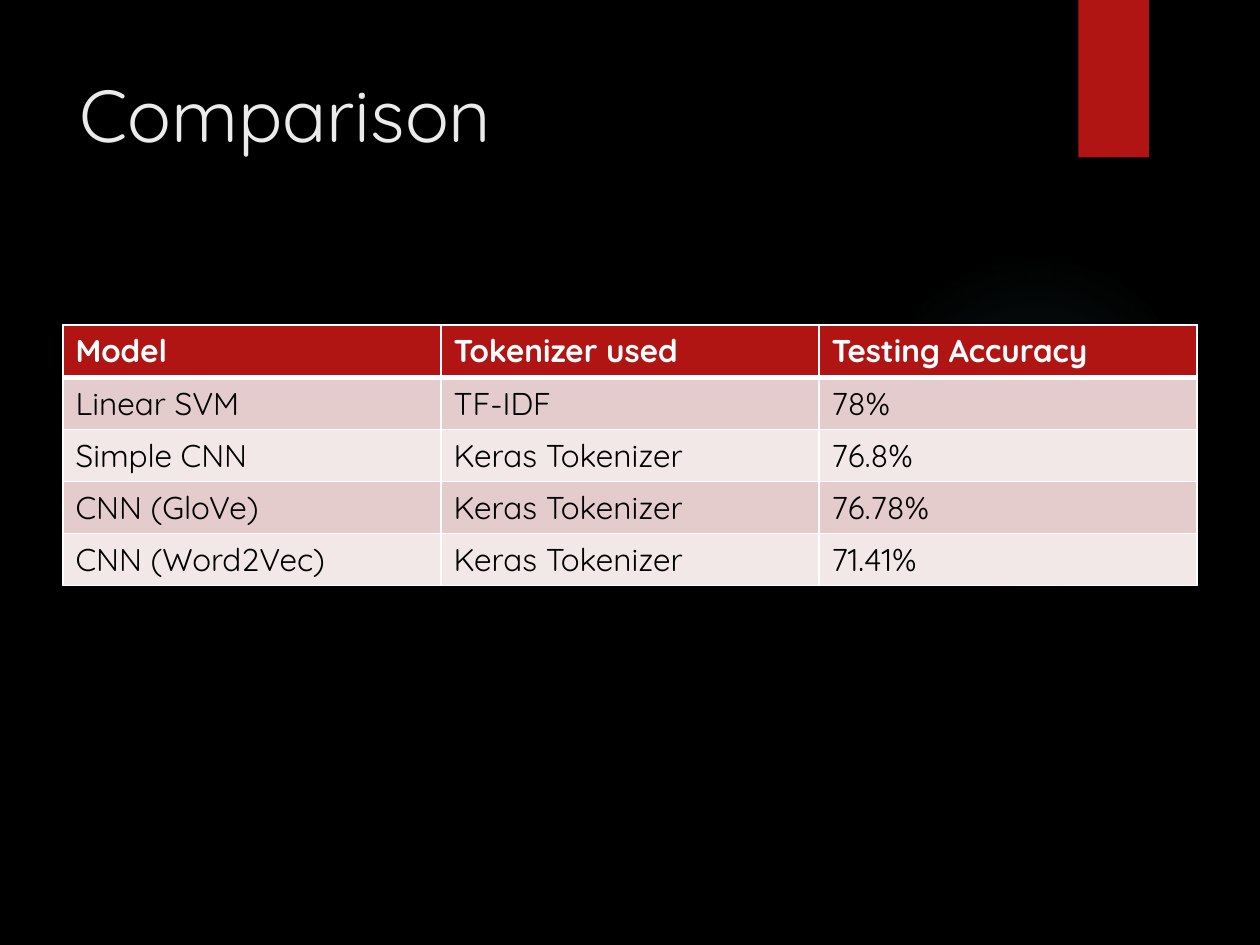
import pptx
import pptx.dml.color
import pptx.enum.shapes
import pptx.enum.text
import pptx.oxml
import pptx.oxml.ns
import pptx.util

WIDE, HIGH = 10, 7.5
FONT = "Quicksand"
RED, WHITE, BLACK = "B01513", "FFFFFF", "000000"
BANDS = "E4CCCC", "F2E8E7"
GLOW = (0, 7), (36, 6), (69, 0)  # position and opacity, in percent
ROW = 0.41
ROWS = (
    ("Model", "Tokenizer used", "Testing Accuracy"),
    ("Linear SVM", "TF-IDF", "78%"),
    ("Simple CNN", "Keras Tokenizer", "76.8%"),
    ("CNN (GloVe)", "Keras Tokenizer", "76.78%"),
    ("CNN (Word2Vec)", "Keras Tokenizer", "71.41%"),
)


def tint(code):
    return pptx.dml.color.RGBColor.from_string(code)


def inches(*sizes):
    return [pptx.util.Inches(size) for size in sizes]


def parse(xml):
    space = pptx.oxml.ns.nsdecls("a")
    return pptx.oxml.parse_xml(xml.replace(">", f" {space}>", 1))


def paint(fill, code):
    fill.solid()
    fill.fore_color.rgb = tint(code)


def write(frame, text, size=18, color=BLACK, bold=False):
    frame.text = text
    font = frame.paragraphs[0].font
    font.name, font.size, font.bold = FONT, pptx.util.Pt(size), bold
    font.color.rgb = tint(color)


def block(slide, kind, box, color):
    shape = slide.shapes.add_shape(kind, *inches(*box))
    shape.shadow.inherit = False
    paint(shape.fill, color)
    shape.line.fill.background()
    return shape


def glow(slide, box, color):
    """Add an ellipse that fades out from its centre."""
    kind = pptx.enum.shapes.MSO_SHAPE.OVAL
    shape = block(slide, kind, box, color)
    stops = "".join(
        f'<a:gs pos="{place * 1000}"><a:srgbClr val="{color}">'
        f'<a:alpha val="{alpha * 1000}"/></a:srgbClr></a:gs>'
        for place, alpha in GLOW
    )
    fade = parse(
        f'<a:gradFill><a:gsLst>{stops}</a:gsLst><a:path path="circle">'
        '<a:fillToRect l="50000" t="50000" r="50000" b="50000"/>'
        "</a:path></a:gradFill>"
    )
    props = shape.element.spPr
    solid = props.find(pptx.oxml.ns.qn("a:solidFill"))
    props.replace(solid, fade)


def edge(cell, **widths):
    """Draw white borders; keys are the sides L, R, T and B in that order."""
    props = cell._tc.get_or_add_tcPr()
    for spot, (side, width) in enumerate(widths.items()):
        line = parse(
            f'<a:ln{side} w="{pptx.util.Pt(width)}"><a:solidFill>'
            f'<a:srgbClr val="{WHITE}"/></a:solidFill></a:ln{side}>'
        )
        props.insert(spot, line)


def grid(slide, rows, left, top, width):
    box = inches(left, top, width, ROW * len(rows))
    table = slide.shapes.add_table(len(rows), len(rows[0]), *box).table
    for r, texts in enumerate(rows):
        head = r == 0
        table.rows[r].height = pptx.util.Inches(ROW)
        for c, text in enumerate(texts):
            cell = table.cell(r, c)
            write(cell.text_frame, text, color=WHITE if head else BLACK, bold=head)
            paint(cell.fill, RED if head else BANDS[(r - 1) % 2])
            edge(cell, L=1, R=1, T=3 if r == 1 else 1, B=3 if head else 1)


def title(slide, text, box):
    shape = slide.shapes.title
    shape.left, shape.top, shape.width, shape.height = inches(*box)
    write(shape.text_frame, text, size=42, color="EBEBEB")
    shape.text_frame.vertical_anchor = pptx.enum.text.MSO_ANCHOR.TOP
    shape.text_frame.paragraphs[0].alignment = pptx.enum.text.PP_ALIGN.LEFT


def main():
    deck = pptx.Presentation()
    deck.slide_width, deck.slide_height = inches(WIDE, HIGH)
    slide = deck.slides.add_slide(deck.slide_layouts[5])
    paint(slide.background.fill, BLACK)
    glow(slide, (7.06, 1.83, 2.31, 3.08), "50B9C1")
    bar = pptx.enum.shapes.MSO_SHAPE.RECTANGLE
    block(slide, bar, (8.56, 0, 0.56, HIGH / 6), RED)
    title(slide, "Comparison", (0.53, 0.5, 7.71, 1.53))
    grid(slide, ROWS, WIDE * 0.05, 2.58, WIDE * 0.9)
    deck.save("out.pptx")


if __name__ == "__main__":
    main()
